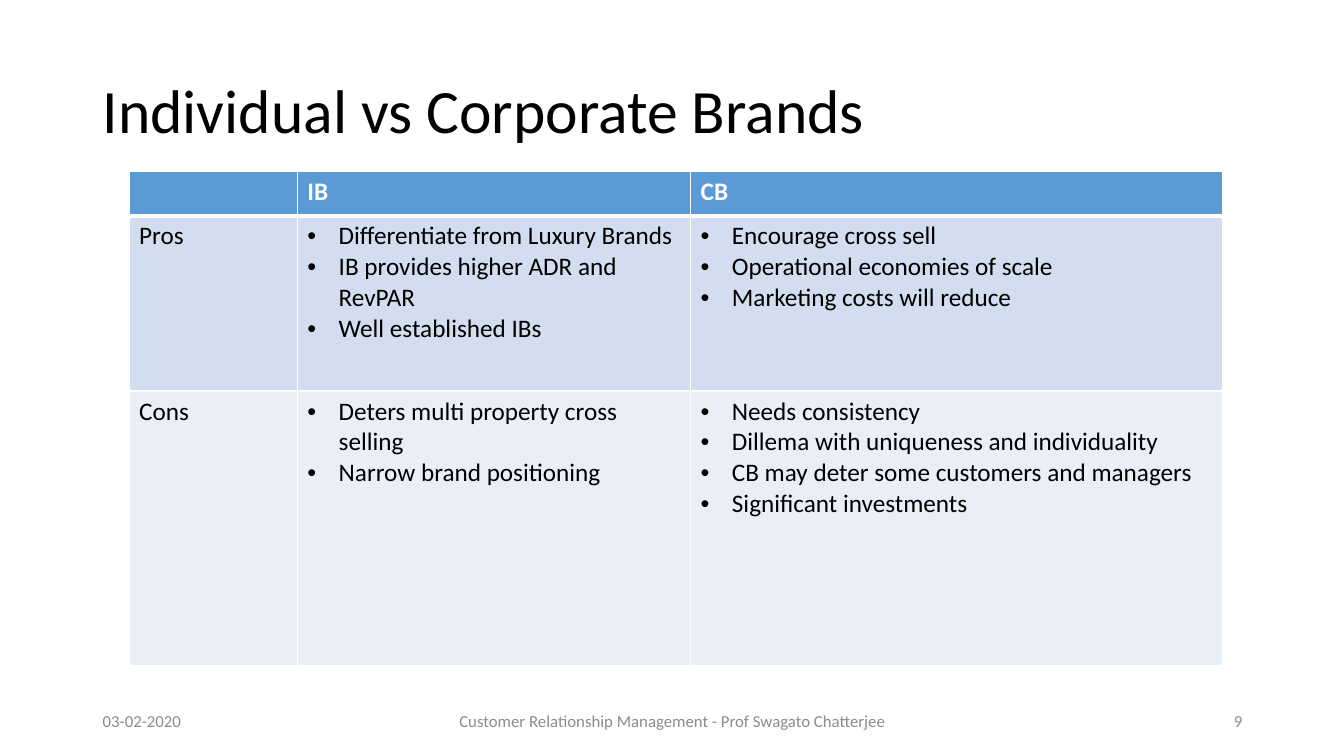
import pptx
import pptx.dml.color
import pptx.enum.text
import pptx.oxml
import pptx.oxml.ns
import pptx.util

Inches = pptx.util.Inches
Pt = pptx.util.Pt
RGBColor = pptx.dml.color.RGBColor
ALIGN = pptx.enum.text.PP_ALIGN
ANCHOR = pptx.enum.text.MSO_ANCHOR

BLACK = RGBColor(0x00, 0x00, 0x00)
WHITE = RGBColor(0xFF, 0xFF, 0xFF)
GREY = RGBColor(0x8C, 0x8C, 0x8C)
HEADER_BLUE = RGBColor(0x5B, 0x9B, 0xD5)
BAND_DARK = RGBColor(0xD2, 0xDE, 0xEF)
BAND_LIGHT = RGBColor(0xEA, 0xEF, 0xF7)

COLUMN_WIDTHS = (1.67, 3.9, 5.28)
ROW_HEIGHTS = (0.44, 1.74, 2.72)
ROW_FILLS = (HEADER_BLUE, BAND_DARK, BAND_LIGHT)
BRAND_TABLE = (
    ("", "IB", "CB"),
    (
        "Pros",
        ["Differentiate from Luxury Brands", "IB provides higher ADR and RevPAR", "Well established IBs"],
        ["Encourage cross sell", "Operational economies of scale", "Marketing costs will reduce"],
    ),
    (
        "Cons",
        ["Deters multi property cross selling", "Narrow brand positioning"],
        [
            "Needs consistency",
            "Dillema with uniqueness and individuality",
            "CB may deter some customers and managers",
            "Significant investments",
        ],
    ),
)


class SlideBuilder:
    font_name = "Calibri"
    bullet_indent = Inches(0.31)

    def __init__(self, slide):
        self.slide = slide

    def set_font(self, paragraph, size, color, bold=False):
        values = {"name": self.font_name, "size": Pt(size), "bold": bold}
        for name, value in values.items():
            setattr(paragraph.font, name, value)
        paragraph.font.color.rgb = color

    def add_text(self, text, left, top, width, height, size, color, align=ALIGN.LEFT, spacing=1.0):
        box = self.slide.shapes.add_textbox(Inches(left), Inches(top), Inches(width), Inches(height))
        frame = box.text_frame
        for name, value in {"word_wrap": True, "vertical_anchor": ANCHOR.MIDDLE}.items():
            setattr(frame, name, value)
        paragraph = frame.paragraphs[0]
        for name, value in {"text": text, "alignment": align, "line_spacing": spacing}.items():
            setattr(paragraph, name, value)
        self.set_font(paragraph, size, color)

    def add_bullet(self, paragraph):
        properties = paragraph._p.get_or_add_pPr()
        properties.set("marL", str(self.bullet_indent))
        properties.set("indent", str(-self.bullet_indent))
        namespace = pptx.oxml.ns.nsdecls("a")
        properties.append(pptx.oxml.parse_xml(f'<a:buFont {namespace} typeface="Arial"/>'))
        properties.append(pptx.oxml.parse_xml(f'<a:buChar {namespace} char="•"/>'))

    def add_borders(self, cell, widths):
        """Draw white borders; widths maps a side (L, R, T, B) to points, in that order."""
        properties = cell._tc.get_or_add_tcPr()
        for side, width in widths.items():
            properties.append(pptx.oxml.parse_xml(
                f'<a:ln{side} {pptx.oxml.ns.nsdecls("a")} w="{Pt(width)}">'
                f'<a:solidFill><a:srgbClr val="{WHITE}"/></a:solidFill></a:ln{side}>'
            ))

    def fill_cell(self, cell, content, row_index):
        is_header = row_index == 0
        self.add_borders(cell, {
            "L": 1, "R": 1, "T": 3 if row_index == 1 else 1, "B": 3 if is_header else 1,
        })
        cell.fill.solid()
        cell.fill.fore_color.rgb = ROW_FILLS[row_index]
        bulleted = isinstance(content, list)
        lines = content if bulleted else [content]
        cell.text = "\n".join(lines)
        for paragraph in cell.text_frame.paragraphs:
            if bulleted:
                self.add_bullet(paragraph)
            self.set_font(paragraph, 18, WHITE if is_header else BLACK, is_header)

    def add_table(self, rows, left, top):
        table = self.slide.shapes.add_table(
            len(rows), len(COLUMN_WIDTHS), Inches(left), Inches(top),
            Inches(sum(COLUMN_WIDTHS)), Inches(sum(ROW_HEIGHTS)),
        ).table
        for column, width in zip(table.columns, COLUMN_WIDTHS):
            column.width = Inches(width)
        for row_index, contents in enumerate(rows):
            table.rows[row_index].height = Inches(ROW_HEIGHTS[row_index])
            for column_index, content in enumerate(contents):
                self.fill_cell(table.cell(row_index, column_index), content, row_index)


def main():
    presentation = pptx.Presentation()
    presentation.slide_width = Inches(13.33)
    presentation.slide_height = Inches(7.5)
    builder = SlideBuilder(presentation.slides.add_slide(presentation.slide_layouts[6]))

    builder.add_text("Individual vs Corporate Brands", 0.92, 0.4, 11.5, 1.45, 44, BLACK, spacing=0.9)
    footers = (
        ("03-02-2020", 0.92, 3, ALIGN.LEFT),
        ("Customer Relationship Management - Prof Swagato Chatterjee", 4.42, 4.5, ALIGN.CENTER),
        ("9", 9.42, 3, ALIGN.RIGHT),
    )
    for text, left, width, align in footers:
        builder.add_text(text, left, 6.95, width, 0.4, 12, GREY, align)
    builder.add_table(BRAND_TABLE, 1.28, 1.7)

    presentation.save("out.pptx")


if __name__ == "__main__":
    main()
